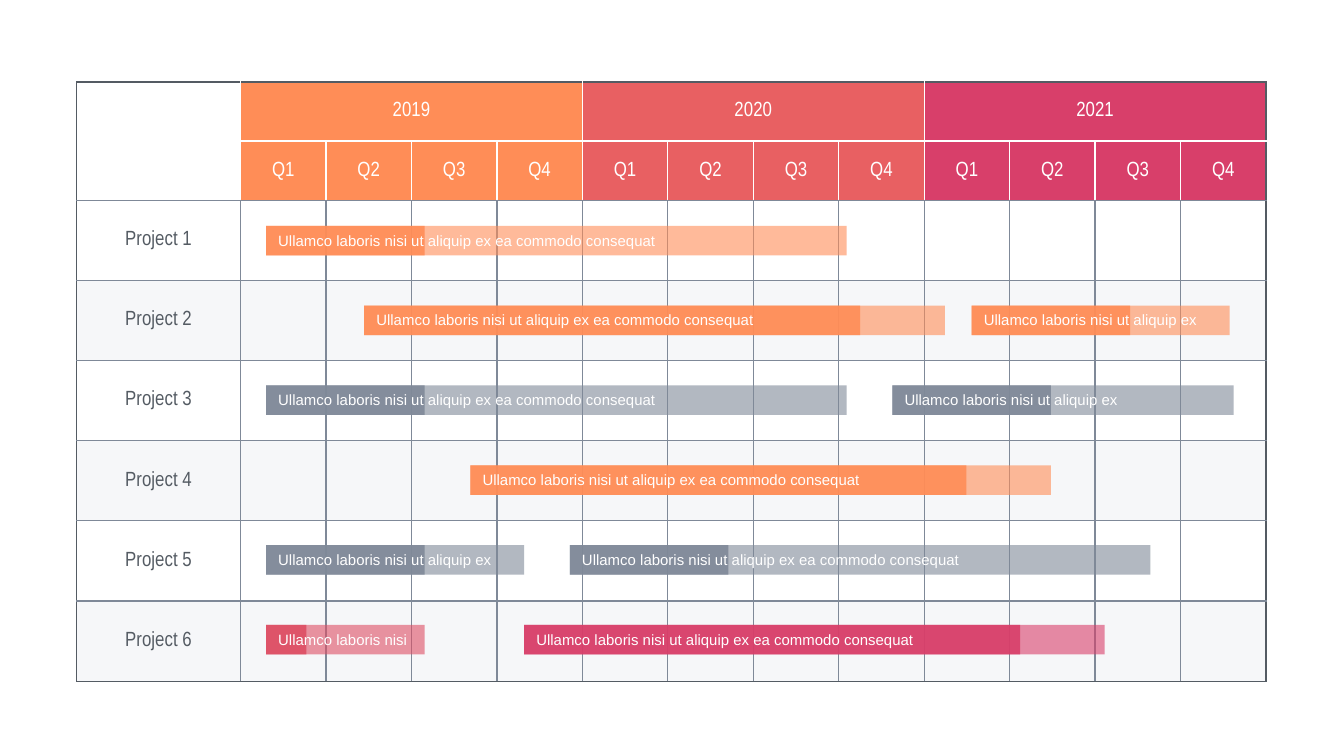
from lxml import etree
from pptx import Presentation
from pptx.dml.color import RGBColor
from pptx.enum.shapes import MSO_SHAPE
from pptx.enum.text import MSO_ANCHOR, PP_ALIGN
from pptx.oxml.ns import qn
from pptx.util import Inches, Pt

RECT = MSO_SHAPE.RECTANGLE
MIDDLE = MSO_ANCHOR.MIDDLE
LEFT, CENTER = PP_ALIGN.LEFT, PP_ALIGN.CENTER

WHITE, PALE, GRAY, DARK = "FFFFFF", "EEF0F4", "7F8998", "545B63"
ORANGE, CORAL, RED, PINK = "FF8D57", "E86062", "DE4E64", "D83F6A"

LABEL = {"size": Pt(11), "name": "Arial Narrow"}
NOTE = {"size": Pt(8), "name": "Arial"}
INSETS = {"margin_left": Inches(0.04), "margin_right": Inches(0.04),
          "margin_top": Inches(0.02), "margin_bottom": Inches(0.02)}


def paint(fill, color, alpha=100, node=None):
    """Fill with a solid colour; node is the XML parent of a translucent fill."""
    fill.solid()
    fill.fore_color.rgb = RGBColor.from_string(color)
    if alpha < 100:
        tone = node.find(qn("a:solidFill"))[0]
        etree.SubElement(tone, qn("a:alpha"), val=str(alpha * 1000))


def write(frame, words, look, color, align):
    para = frame.paragraphs[0]
    para.alignment = align
    run = para.add_run()
    run.text = words
    for key, value in look.items():
        setattr(run.font, key, value)
    paint(run.font.fill, color)


# Widescreen slide, 16:9
deck = Presentation()
deck.slide_width, deck.slide_height = Inches(10), Inches(10 * 9 / 16)
slide = deck.slides.add_slide(deck.slide_layouts[6])

# Table grid
years = [("2019", ORANGE), ("2020", CORAL), ("2021", PINK)]
bands = [(WHITE, 100), (PALE, 50), (WHITE, 100), (PALE, 50), (WHITE, 50), (PALE, 50)]
rows, cols = 2 + len(bands), 1 + 4 * len(years)
table = slide.shapes.add_table(rows, cols, Inches(0.57), Inches(0.61),
                               Inches(8.85), Inches(4.46)).table
table.first_row = table.horz_banding = False
for c, col in enumerate(table.columns):
    col.width = Inches(7.63 / 12) if c else Inches(1.22)
for r, row in enumerate(table.rows):
    row.height = Inches(3.58 / 6) if r > 1 else Inches(0.44)

# Cell borders, fills and labels
for r in range(rows):
    for c in range(cols):
        cell = table.cell(r, c)
        head = r < 2
        year, tint = years[(c - 1) // 4]
        last = c == cols - 1 or (r, c) == (0, cols - 4)
        edges = {
            "a:lnL": DARK if c == 0 else WHITE if head else GRAY,
            "a:lnR": DARK if last else WHITE if head else GRAY,
            "a:lnT": DARK if r == 0 else WHITE if r == 1 and c else GRAY,
            "a:lnB": DARK if r == rows - 1 else WHITE if r == 0 and c else GRAY,
        }
        props = cell._tc.get_or_add_tcPr()
        for tag, color in edges.items():
            line = etree.SubElement(props, qn(tag), w=str(Pt(0.75)))
            solid = etree.SubElement(line, qn("a:solidFill"))
            etree.SubElement(solid, qn("a:srgbClr"), val=color)

        cell.vertical_anchor = MIDDLE
        for key, value in INSETS.items():
            setattr(cell, key, value)

        words = ""
        if not head:
            paint(cell.fill, *bands[r - 2], props)
            words = "" if c else f"Project {r - 1}"
        elif c == 0:
            cell.fill.background()
        else:
            paint(cell.fill, tint)
            quarter = (c - 1) % 4 + 1
            words = f"Q{quarter}" if r else year if quarter == 1 else ""
        if words:
            write(cell.text_frame, words, LABEL, WHITE if head else DARK, CENTER)

# Merged header cells
table.cell(0, 0).merge(table.cell(1, 0))
for c in range(1, cols, 4):
    table.cell(0, c).merge(table.cell(0, c + 3))

# Task bars: project, left, width, done width, colour, text
SHORT = "Ullamco laboris nisi"
MID = SHORT + " ut aliquip ex"
LONG = MID + " ea commodo consequat"
widths = {SHORT: 1.13, MID: 1.87, LONG: 3.11}
tasks = [
    (1, 1.98, 4.32, 1.18, ORANGE, LONG),
    (6, 1.98, 1.18, 0.3, RED, SHORT),
    (2, 2.71, 4.32, 3.69, ORANGE, LONG),
    (3, 1.98, 4.32, 1.18, GRAY, LONG),
    (4, 3.5, 4.32, 3.69, ORANGE, LONG),
    (3, 6.64, 2.54, 1.18, GRAY, MID),
    (5, 1.98, 1.92, 1.18, GRAY, MID),
    (2, 7.23, 1.92, 1.18, ORANGE, MID),
    (6, 3.9, 4.32, 3.69, PINK, LONG),
    (5, 4.24, 4.32, 1.18, GRAY, LONG),
]
for project, left, total, done, color, words in tasks:
    top = 1.68 + (project - 1) * 2.97 / 5
    group = slide.shapes.add_group_shape()
    for width, alpha in ((total, 60), (done, 90)):
        bar = group.shapes.add_shape(RECT, Inches(left), Inches(top),
                                     Inches(width), Inches(0.22))
        bar.shadow.inherit = False
        bar.line.fill.background()
        paint(bar.fill, color, alpha, bar.element.spPr)
    box = group.shapes.add_textbox(Inches(left + 0.05), Inches(top + 0.02),
                                   Inches(widths[words]), Inches(0.18))
    frame = box.text_frame
    frame.word_wrap = True
    for key, value in INSETS.items():
        setattr(frame, key, value)
    write(frame, words, NOTE, WHITE, LEFT)

deck.save("out.pptx")
